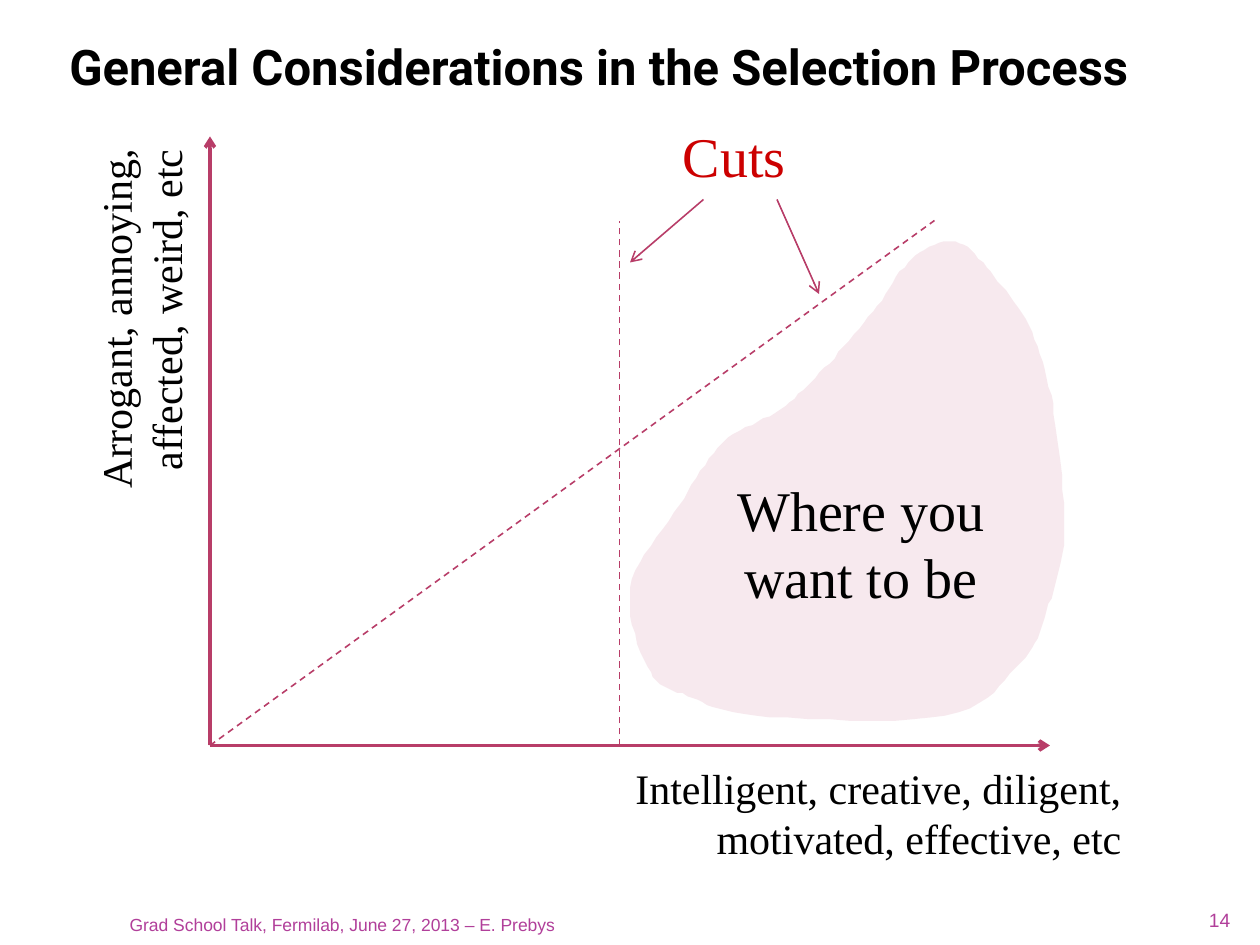
import pptx
import pptx.util
import pptx.dml.color
import pptx.enum.dml
import pptx.enum.shapes
import pptx.enum.text
import pptx.oxml
import pptx.oxml.ns

Pt = pptx.util.Pt
RGBColor = pptx.dml.color.RGBColor
ALIGN = pptx.enum.text.PP_ALIGN
ANCHOR = pptx.enum.text.MSO_ANCHOR

BLACK = RGBColor(0x00, 0x00, 0x00)
ROSE = RGBColor(0xB8, 0x3D, 0x68)
RED = RGBColor(0xCC, 0x00, 0x00)
PURPLE = RGBColor(0xB1, 0x3F, 0x9A)


def add_xml(parent, tag, **attributes):
    element = pptx.oxml.parse_xml(f"<a:{tag} {pptx.oxml.ns.nsdecls('a')}/>")
    for name, value in attributes.items():
        element.set(name, value)
    parent.append(element)


def write_text(box, text, align, font_format, color, frame_format):
    frame = box.text_frame
    for name, value in frame_format.items():
        setattr(frame, name, value)
    para = frame.paragraphs[0]
    para.alignment = align
    span = para.add_run()
    span.text = text
    for name, value in font_format.items():
        setattr(span.font, name, value)
    span.font.color.rgb = color


deck = pptx.Presentation()
deck.slide_width, deck.slide_height = Pt(720), Pt(540)
page = deck.slides.add_slide(deck.slide_layouts[5])

# Text formats
title_font = {"name": "Roboto", "size": Pt(28), "bold": True}
axis_font = {"name": "Times New Roman", "size": Pt(24)}
callout_font = {"name": "Times New Roman", "size": Pt(32)}
footer_font = {"name": "Arial", "size": Pt(10)}
number_font = {"name": "Arial", "size": Pt(11)}
label_frame = {"word_wrap": True}
footer_frame = {"word_wrap": True, "vertical_anchor": ANCHOR.BOTTOM,
                "margin_top": 0, "margin_bottom": 0}
number_frame = {**footer_frame, "margin_left": 0, "margin_right": 0}
title_frame = {**footer_frame, "margin_left": Pt(3.6), "margin_right": Pt(3.6),
               "auto_size": pptx.enum.text.MSO_AUTO_SIZE.NONE}

# Title
title = page.shapes.title
title_place = {"left": 36, "top": 18, "width": 669, "height": 36.5}
for name, value in title_place.items():
    setattr(title, name, Pt(value))
write_text(title, "General Considerations in the Selection Process",
           ALIGN.LEFT, title_font, BLACK, title_frame)

# Region of good candidates: a few knots for each side, clockwise
bottom_side = [(540.5, 409), (432, 409), (393, 397.5), (371.5, 384.5)]
left_tip = [(360, 336)]
diagonal_side = [(388, 289), (413, 253), (446, 234), (471, 210.5), (499, 178)]
top = [(521, 148), (546, 138), (568, 158)]
right_side = [(589.5, 190), (602.5, 237), (608, 306.5), (598, 349), (583, 379)]
knots = bottom_side + left_tip + diagonal_side + top + right_side

# A closed Catmull-Rom curve runs through the knots in short steps
STEPS = 10
outline = []
for i, knot in enumerate(knots):
    before, after = knots[i - 1], knots[(i + 1) % len(knots)]
    beyond = knots[(i + 2) % len(knots)]
    for step in range(STEPS):
        t = step / STEPS
        outline.append([
            b + t / 2 * (c - a + t * (2 * a - 5 * b + 4 * c - d
                                      + t * (3 * (b - c) + d - a)))
            for a, b, c, d in zip(before, knot, after, beyond)])

builder = page.shapes.build_freeform(*outline[0], scale=Pt(1))
builder.add_line_segments(outline[1:], close=True)
region = builder.convert_to_shape()
region.shadow.inherit = False
region.line.fill.background()
region.fill.solid()
region.fill.fore_color.rgb = ROSE
fill_color = region._element.spPr.find(".//" + pptx.oxml.ns.qn("a:srgbClr"))
add_xml(fill_color, "alpha", val="11000")

# Axes, cuts and pointers
origin_x, origin_y = 120, 426
axis_right, axis_top = 600, 78
cut_x, cut_top, diagonal_right = 354, 126, 534
pointer_top = 114
origin = (origin_x, origin_y)
axis = {"width": 2, "dashed": False, "arrow": True}
cut = {"width": 0.9, "dashed": True, "arrow": False}
pointer = {"width": 0.9, "dashed": False, "arrow": True}
lines = [
    (origin, (axis_right, origin_y), axis),
    (origin, (origin_x, axis_top), axis),
    (origin, (diagonal_right, cut_top), cut),
    ((cut_x, origin_y), (cut_x, cut_top), cut),
    ((444, pointer_top), (468, 168), pointer),
    ((402, pointer_top), (360, 150), pointer),
]
for start, end, style in lines:
    connector = page.shapes.add_connector(
        pptx.enum.shapes.MSO_CONNECTOR.STRAIGHT, *map(Pt, start + end))
    connector.line.color.rgb = ROSE
    connector.line.width = Pt(style["width"])
    if style["dashed"]:
        connector.line.dash_style = pptx.enum.dml.MSO_LINE.DASH
    if style["arrow"]:
        add_xml(connector.line._get_or_add_ln(), "tailEnd", type="arrow")
    add_xml(connector._element.spPr, "effectLst")

# Labels, footer and page number: text, place, rotation, alignment, formats
labels = [
    ("Intelligent, creative, diligent, motivated, effective, etc",
     (324, 432, 324, 65.5), 0, ALIGN.RIGHT, axis_font, BLACK, label_frame),
    ("Arrogant, annoying, affected, weird, etc",
     (-33.5, 159.5, 228, 65.5), 270, ALIGN.RIGHT, axis_font, BLACK, label_frame),
    ("Cuts",
     (348, 66, 108, 46), 0, ALIGN.RIGHT, callout_font, RED, label_frame),
    ("Where you want to be",
     (384, 268, 216, 85), 0, ALIGN.CENTER, callout_font, BLACK, label_frame),
    ("Grad School Talk, Fermilab, June 27, 2013 – E. Prebys",
     (36, 516.5, 288, 18), 0, ALIGN.RIGHT, footer_font, PURPLE, footer_frame),
    ("14",
     (657, 514.5, 46, 18), 0, ALIGN.RIGHT, number_font, PURPLE, number_frame),
]
for text, place, rotation, *formats in labels:
    box = page.shapes.add_textbox(*map(Pt, place))
    box.rotation = rotation
    write_text(box, text, *formats)

deck.save("out.pptx")
